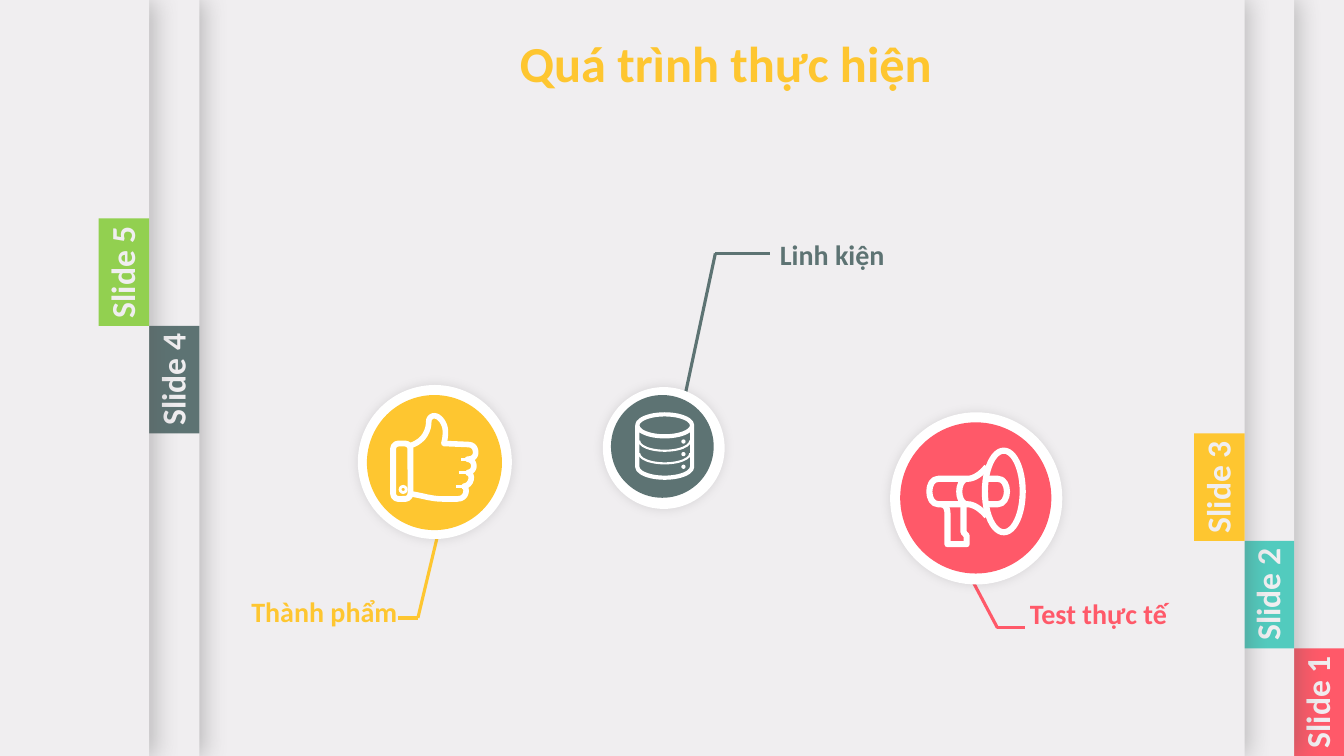
from lxml import etree
from pptx import Presentation
from pptx import util as u
from pptx.dml.color import RGBColor
from pptx.enum import shapes, text
from pptx.oxml.ns import qn

Pt = u.Pt
KIND = shapes.MSO_SHAPE
THEME = {
    "font": "Calibri",
    "title": 36, "tab": 24, "label": 20,
    "paper": "F0EEF0", "white": "FFFFFF", "red": "FF5969", "teal": "52CBBE",
    "yellow": "FEC630", "slate": "5D7373", "green": "92D050",
    "panel_shadow": ("595959", 35, 17, 3), "disc_shadow": ("000000", 10, 8, 0),
}

deck = Presentation()
deck.slide_width, deck.slide_height = Pt(960), Pt(540)
page = deck.slides.add_slide(deck.slide_layouts[5])
page.background.fill.solid()
page.background.fill.fore_color.rgb = RGBColor.from_string(THEME["paper"])


def add_figure(kind, box, fill=None, stroke=0, shadow=None):
    if kind == "path":
        start, *steps = box
        points = [start]
        for step in steps:
            if len(step) == 2:
                points.append(step)
                continue
            xs, ys = (points[-1][0], *step[::2]), (points[-1][1], *step[1::2])
            for n in range(1, 9):
                t = n / 8
                weights = ((1 - t) ** 3, 3 * t * (1 - t) ** 2, 3 * t * t * (1 - t), t ** 3)
                points.append(tuple(sum(w * v for w, v in zip(weights, axis)) for axis in (xs, ys)))
        points = [(Pt(origin[0] + x), Pt(origin[1] + y)) for x, y in points]
        builder = page.shapes.build_freeform(*points[0])
        builder.add_line_segments(points[1:], close=False)
        figure = builder.convert_to_shape()
    else:
        figure = page.shapes.add_shape(kind, *map(Pt, box))
    figure.shadow.inherit = False
    if fill:
        figure.fill.solid()
        figure.fill.fore_color.rgb = RGBColor.from_string(THEME[fill])
    else:
        figure.fill.background()
    if stroke:
        figure.line.color.rgb = RGBColor.from_string(THEME["white"])
        figure.line.width = Pt(stroke)
    else:
        figure.line.fill.background()
    if shadow:
        color, opacity, blur, distance = THEME[shadow]
        effects = figure._element.spPr.find(qn("a:effectLst"))
        outer = etree.SubElement(effects, qn("a:outerShdw"), blurRad=str(Pt(blur)),
                                 dist=str(Pt(distance)), dir="0", algn="ctr", rotWithShape="0")
        tint = etree.SubElement(outer, qn("a:srgbClr"), val=color)
        etree.SubElement(tint, qn("a:alpha"), val=str(opacity * 1000))
    return figure


def write(holder, words, size, color, align):
    frame = holder.text_frame
    frame.text = words
    frame.word_wrap = True
    frame.vertical_anchor = text.MSO_ANCHOR.MIDDLE
    para = frame.paragraphs[0]
    para.alignment = align
    span = para.runs[0]
    span.font.name, span.font.size, span.font.bold = THEME["font"], Pt(THEME[size]), True
    span.font.color.rgb = RGBColor.from_string(THEME[color])


CENTER, LEFT, RIGHT = text.PP_ALIGN.CENTER, text.PP_ALIGN.LEFT, text.PP_ALIGN.RIGHT

tabs = [(924, "red"), (888.5, "teal"), (853, "yellow"), (106.5, "slate"), (70.5, "green")]
callouts = [
    ("Linh kiện", "slate", (430.6, 276.5, 87), (436.4, 282.2, 73.4),
     [(489, 284), (511, 181), (550, 181)], (550, 165.6, 110, 31.7), LEFT),
    ("Test thực tế", "red", (635.8, 294.5, 123), (643, 301.7, 108),
     [(690.5, 407), (712.5, 448.5), (732, 448.5)], (728.6, 422.6, 122, 31.7), LEFT),
    ("Thành phẩm", "yellow", (255.6, 275, 110), (262.1, 282.2, 96.5),
     [(314, 376.5), (298.5, 441.4), (284.4, 441.4)], (137.5, 420.5, 153.4, 31.7), RIGHT),
]

for number, (left, color) in enumerate(tabs, 1):
    top = 463.2 - 76.8 * (number - 1)
    add_figure(KIND.RECTANGLE, (0, 0, left + (36 if number > 1 else 36) - 36 + 36, 540),
               "paper", shadow="panel_shadow") if number == 1 else add_figure(
        KIND.RECTANGLE, (0, 0, left + 36, 540), "paper", shadow="panel_shadow")
    add_figure(KIND.RECTANGLE, (left, top, 36, 76.8), color)
    name = page.shapes.add_textbox(Pt(left - 26.5), Pt(top + 20.4), Pt(86), Pt(36))
    name.rotation = 270
    write(name, f"Slide {number}", "tab", "paper", CENTER)
    if number != 3:
        continue

    title = page.shapes.title
    title.left, title.top, title.width, title.height = Pt(328), Pt(19), Pt(381), Pt(51)
    write(title, "Quá trình thực hiện", "title", "yellow", CENTER)
    page.shapes._spTree.append(title._element)

    for words, tint, ring, disc, route, place, align in callouts:
        for start, end in zip(route, route[1:]):
            leader = page.shapes.add_connector(shapes.MSO_CONNECTOR.STRAIGHT, *map(Pt, start + end))
            leader.line.color.rgb = RGBColor.from_string(THEME[tint])
            leader.line.width = Pt(2.25)
            etree.SubElement(leader._element.spPr, qn("a:effectLst"))
        for (x, y, size), fill, shadow in ((ring, "white", "disc_shadow"), (disc, tint, None)):
            add_figure(KIND.OVAL, (x, y, size, size), fill, shadow=shadow)
        label = page.shapes.add_textbox(*map(Pt, place))
        write(label, words, "label", tint, align)

    origin = (661.7, 319.7)
    add_figure(KIND.OVAL, (origin[0] + 41.8, origin[1] + 2.2, 27, 58.3), stroke=4.4)
    megaphone = [
        [(43.2, 13.7), (39, 19, 34, 22.3, 29.5, 22.3), (8.6, 22.3),
         (0, 22.3, 0, 40.5, 8.6, 40.5), (29.5, 40.5), (34, 40.5, 39, 44, 43.2, 49)],
        [(43.2, 22.3), (51, 22.3), (59.8, 22.3, 59.8, 40.5, 51, 40.5), (43.2, 40.5)],
        [(28, 22.3), (22, 25, 22, 38, 28, 40.5)],
        [(11, 40.5), (14, 41, 15.1, 44, 15.1, 46.8), (15.1, 69), (28.8, 69),
         (28.8, 63), (26.6, 60.5), (26.6, 42)],
    ]
    for outline in megaphone:
        add_figure("path", outline, stroke=4.4)

    can = add_figure(KIND.CAN, (455.2, 296, 39.2, 45.2), stroke=3)
    can.adjustments[0] = 0.4
    for level in range(3):
        add_figure(KIND.OVAL, (486.7, 313.9 + 9 * level, 3, 3), "white")
        if level < 2:
            band = add_figure(KIND.ARC, (456.5, 307.6 + 9 * level, 36.6, 14.4), stroke=1.5)
            band.adjustments[0], band.adjustments[1] = 0, 108

    origin = (278.6, 295.2)
    cuff = add_figure(KIND.ROUNDED_RECTANGLE, (origin[0] + 2.2, origin[1] + 21.6, 12.4, 39.6), stroke=4.2)
    cuff.adjustments[0] = 0.3
    add_figure(KIND.OVAL, (origin[0] + 7.2, origin[1] + 52.2, 4.4, 4.4), stroke=2)
    thumb = [(15.1, 23), (25.2, 19.4, 27.7, 11.5, 27.7, 5.8), (27.7, 3.6, 29.5, 1.8, 31.7, 1.8),
             (35.3, 1.8, 39.6, 7.2, 39.6, 13), (39.6, 16.5, 39.2, 18.7, 38.5, 21.6), (55.4, 22.3),
             (59.8, 22.3, 61.2, 25.2, 61.2, 28), (61.2, 31, 59, 32.8, 55.4, 32.8),
             (61, 33, 62, 41.5, 55.4, 42.5), (60, 43, 58.5, 51.8, 52.6, 52.2),
             (55.5, 52.6, 55.5, 61.2, 48.2, 61.2), (37.4, 61.2), (29.5, 61.2, 24, 59, 15.1, 57.6)]
    add_figure("path", thumb, stroke=4)
    for x, y in ((51, 32.8), (49, 42.5), (47, 52.2)):
        add_figure("path", [(x, y), (x + 5, y)], stroke=2)

deck.save("out.pptx")
